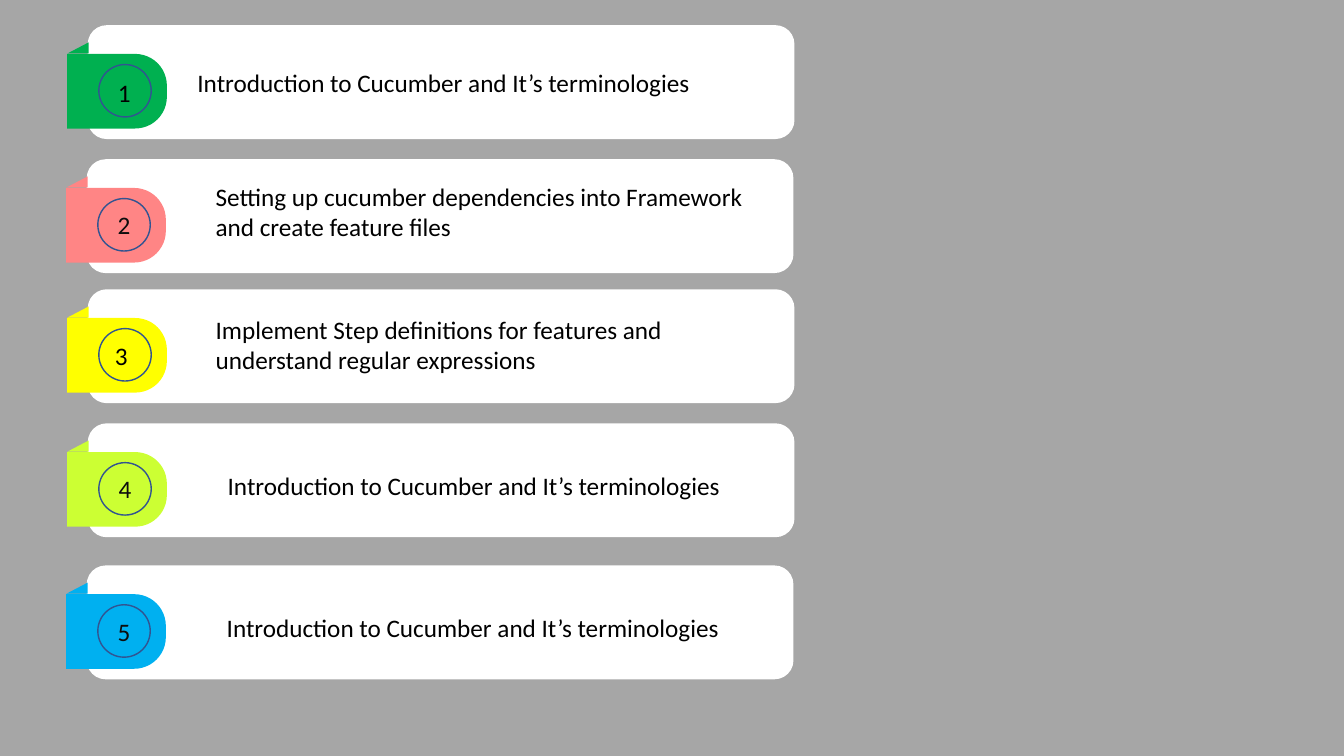
from dataclasses import dataclass
from typing import Optional

from lxml import etree
from pptx import Presentation
from pptx.dml.color import RGBColor
from pptx.enum.shapes import MSO_SHAPE
from pptx.enum.text import MSO_ANCHOR, PP_ALIGN
from pptx.oxml.ns import qn
from pptx.util import Inches, Pt

ROUNDED = MSO_SHAPE.ROUNDED_RECTANGLE
TAB = MSO_SHAPE.ROUND_2_SAME_RECTANGLE
TRIANGLE = MSO_SHAPE.RIGHT_TRIANGLE
OVAL = MSO_SHAPE.OVAL
MIDDLE = MSO_ANCHOR.MIDDLE
CENTER = PP_ALIGN.CENTER

COLORS = {
    "background": "A6A6A6",
    "card": "FFFFFF",
    "outline": "325491",
    "text": "000000",
    "number": "0D0D0D",
    "green": "00B050",
    "coral": "FF8585",
    "yellow": "FFFF00",
    "lime": "CCFF33",
    "blue": "00B0F0",
}
INTRODUCTION = "Introduction to Cucumber and It’s terminologies"


@dataclass
class Topic:
    number: str
    color: str
    card: tuple
    text: str
    text_box: tuple
    number_box: Optional[tuple] = None


TOPICS = [
    Topic("1", "green", (0.87, 0.25), INTRODUCTION,
          (1.86, 0.62, 5.45, 0.4), (1.07, 0.72, 0.32, 0.4)),
    Topic("2", "coral", (0.86, 1.58),
          "Setting up cucumber dependencies into Framework and create feature files",
          (2.04, 1.75, 5.65, 0.71)),
    Topic("3", "yellow", (0.87, 2.87),
          "Implement Step definitions for features and understand regular expressions",
          (2.04, 3.07, 5.45, 0.71), (1.04, 3.33, 0.32, 0.4)),
    Topic("4", "lime", (0.87, 4.2), INTRODUCTION, (2.16, 4.62, 5.45, 0.4)),
    Topic("5", "blue", (0.86, 5.61), INTRODUCTION, (2.15, 6.03, 5.45, 0.4)),
]


def rgb(name):
    return RGBColor.from_string(COLORS[name])


def add_filled_shape(slide, kind, box, color):
    shape = slide.shapes.add_shape(kind, *map(Inches, box))
    shape.shadow.inherit = False
    shape.fill.solid()
    shape.fill.fore_color.rgb = rgb(color)
    shape.line.fill.background()
    return shape


def set_text(text_frame, text, color):
    text_frame.text = text
    font = text_frame.paragraphs[0].runs[0].font
    font.name = "Calibri"
    font.size = Pt(18)
    font.color.rgb = rgb(color)


def add_label(slide, box, text):
    text_box = slide.shapes.add_textbox(*map(Inches, box))
    text_box.text_frame.word_wrap = True
    set_text(text_box.text_frame, text, "text")


def set_opacity(shape, percent):
    color = shape.fill._xPr.find(qn("a:solidFill"))[0]
    etree.SubElement(color, qn("a:alpha")).set("val", str(percent * 1000))


def add_number_circle(slide, box, topic):
    circle = add_filled_shape(slide, OVAL, box, topic.color)
    circle.line.color.rgb = rgb("outline")
    circle.line.width = Pt(1)
    if topic.number_box:
        set_opacity(circle, 49)
        add_label(slide, topic.number_box, topic.number)
        return
    text_frame = circle.text_frame
    text_frame.margin_left = text_frame.margin_right = 0
    text_frame.vertical_anchor = MIDDLE
    set_text(text_frame, topic.number, "number")
    text_frame.paragraphs[0].alignment = CENTER


def add_topic(slide, topic):
    left, top = topic.card
    add_filled_shape(slide, ROUNDED, (left, top, 7.01, 1.13), "card")
    tab = add_filled_shape(slide, TAB, (left - 0.08, top + 0.16, 0.74, 0.99), topic.color)
    tab.adjustments[0] = 0.425
    tab.adjustments[1] = 0
    tab.rotation = 90
    fold = add_filled_shape(
        slide, TRIANGLE, (left - 0.2, top + 0.17, 0.21, 0.11), topic.color)
    fold._element.spPr.find(qn("a:xfrm")).set("flipH", "1")
    add_number_circle(slide, (left + 0.11, top + 0.39, 0.52, 0.52), topic)
    add_label(slide, topic.text_box, topic.text)


def main():
    presentation = Presentation()
    presentation.slide_width = Inches(13.33)
    presentation.slide_height = Inches(7.5)
    slide = presentation.slides.add_slide(presentation.slide_layouts[6])
    slide.background.fill.solid()
    slide.background.fill.fore_color.rgb = rgb("background")
    for topic in TOPICS:
        add_topic(slide, topic)
    presentation.save("out.pptx")


if __name__ == "__main__":
    main()
